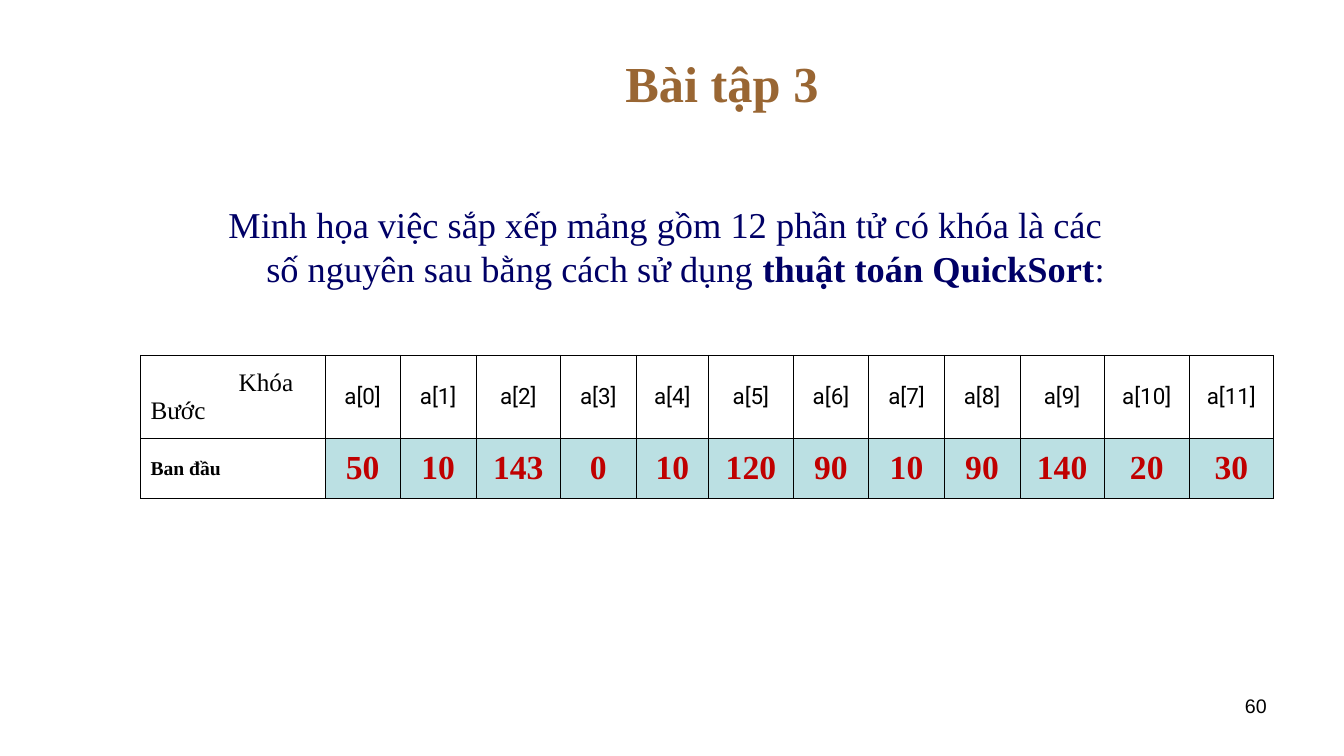
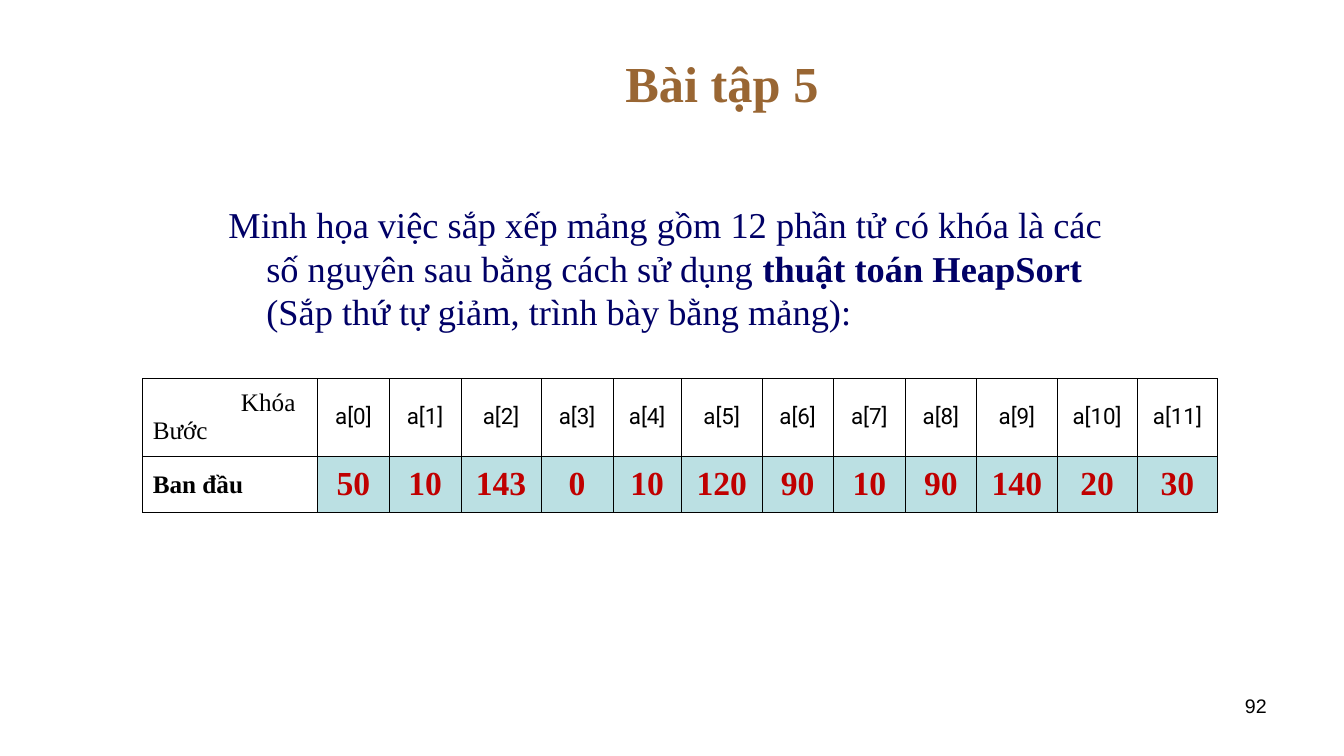
from lxml import etree
from pptx import Presentation
from pptx.dml.color import RGBColor
from pptx.enum import text
from pptx.oxml import ns
from pptx.util import Pt

COLORS = {
    "title": "996633",
    "prompt": "000066",
    "ink": "000000",
    "key": "C00000",
    "key_fill": "BBE0E3",
}
SERIF, SANS, INDEX_FONT = "Times New Roman", "Arial", "Roboto"
LEFT, CENTER, RIGHT = text.PP_ALIGN.LEFT, text.PP_ALIGN.CENTER, text.PP_ALIGN.RIGHT
MIDDLE = text.MSO_ANCHOR.MIDDLE

SLIDE_SIZE = (960.48, 540)
TITLE_BOX = (120, 21.6, 792, 74.2)
NUMBER_BOX = (688.4, 491.8, 224, 37.4)
HANGING = 27
KEY_INDENT = 63
KEYS = [50, 10, 143, 0, 10, 120, 90, 10, 90, 140, 20, 30]
COLUMN_SHARES = [131.8, 54, 54, 60.5, 54, 51.8, 60.5, 54, 54, 54, 60.5, 60.5, 60.5]
ROW_SHARES = [0.58, 0.42]
PROMPT = (
    "Minh họa việc sắp xếp mảng gồm 12 phần tử có khóa là các "
    "số nguyên sau bằng cách sử dụng "
)


def add_run(paragraph, words, size, color, font=SERIF, bold=False):
    run = paragraph.add_run()
    run.text = words
    run.font.name = font
    run.font.size = Pt(size)
    run.font.bold = bold
    run.font.color.rgb = RGBColor.from_string(COLORS[color])


def add_text_frame(slide, box):
    frame = slide.shapes.add_textbox(*map(Pt, box)).text_frame
    frame.word_wrap = True
    return frame


def set_indent(paragraph, margin, first_line=0):
    properties = paragraph._p.get_or_add_pPr()
    properties.set("marL", str(Pt(margin)))
    properties.set("indent", str(Pt(first_line)))


def add_title(slide, box, words):
    frame = add_text_frame(slide, box)
    frame.vertical_anchor = MIDDLE
    heading = frame.paragraphs[0]
    heading.alignment = CENTER
    add_run(heading, words, 36, "title", bold=True)


def add_page_number(slide, box, number):
    page = add_text_frame(slide, box).paragraphs[0]
    page.alignment = RIGHT
    add_run(page, str(number), 14, "ink", font=SANS)


def add_prompt(slide, box, algorithm, ending):
    task = add_text_frame(slide, box).paragraphs[0]
    set_indent(task, HANGING, -HANGING)
    add_run(task, PROMPT, 26, "prompt")
    add_run(task, algorithm, 26, "prompt", bold=True)
    add_run(task, ending, 26, "prompt")


def add_borders(cell):
    properties = cell._tc.get_or_add_tcPr()
    for side in ("lnL", "lnR", "lnT", "lnB"):
        line = etree.SubElement(properties, ns.qn("a:" + side), w=str(Pt(0.45)))
        fill = etree.SubElement(line, ns.qn("a:solidFill"))
        etree.SubElement(fill, ns.qn("a:srgbClr"), val=COLORS["ink"])


def style_cell(cell, fill=None):
    cell.vertical_anchor = MIDDLE
    add_borders(cell)
    if fill:
        cell.fill.solid()
        cell.fill.fore_color.rgb = RGBColor.from_string(COLORS[fill])
    else:
        cell.fill.background()


def fill_cell(cell, words, size, color, font=SERIF, bold=False, align=CENTER, fill=None):
    style_cell(cell, fill)
    paragraph = cell.text_frame.paragraphs[0]
    paragraph.alignment = align
    add_run(paragraph, words, size, color, font, bold)


def add_keys_table(slide, box, label_size):
    left, top, width, height = box
    table = slide.shapes.add_table(
        len(ROW_SHARES), len(COLUMN_SHARES), *map(Pt, box)
    ).table
    table.first_row = False
    table.horz_banding = False
    for column, share in zip(table.columns, COLUMN_SHARES):
        column.width = Pt(width * share / sum(COLUMN_SHARES))
    for row, share in zip(table.rows, ROW_SHARES):
        row.height = Pt(height * share)

    corner = table.cell(0, 0)
    fill_cell(corner, "Khóa", 18, "ink", align=LEFT)
    set_indent(corner.text_frame.paragraphs[0], KEY_INDENT)
    add_run(corner.text_frame.add_paragraph(), "Bước", 18, "ink")
    fill_cell(table.cell(1, 0), "Ban đầu", label_size, "ink", bold=True, align=LEFT)
    for index, key in enumerate(KEYS):
        fill_cell(table.cell(0, index + 1), f"a[{index}]", 16, "ink", INDEX_FONT)
        fill_cell(table.cell(1, index + 1), str(key), 24, "key", bold=True, fill="key_fill")


def add_exercise(deck, title, number, algorithm, ending, prompt_height, table_box, label_size):
    slide = deck.slides.add_slide(deck.slide_layouts[6])
    add_title(slide, TITLE_BOX, title)
    add_keys_table(slide, table_box, label_size)
    add_page_number(slide, NUMBER_BOX, number)
    add_prompt(slide, (156.2, 140.8, 666, prompt_height), algorithm, ending)


def main():
    deck = Presentation()
    deck.slide_width, deck.slide_height = map(Pt, SLIDE_SIZE)
    add_exercise(
        deck, "Bài tập 3", 60, "thuật toán QuickSort", ":",
        78, (100.4, 253.7, 810, 102.4), 14,
    )
    add_exercise(
        deck, "Bài tập 5", 92, "thuật toán HeapSort ",
        "(Sắp thứ tự giảm, trình bày bằng mảng):",
        105, (102, 270.2, 768.4, 96), 18,
    )
    deck.save("out.pptx")


if __name__ == "__main__":
    main()
